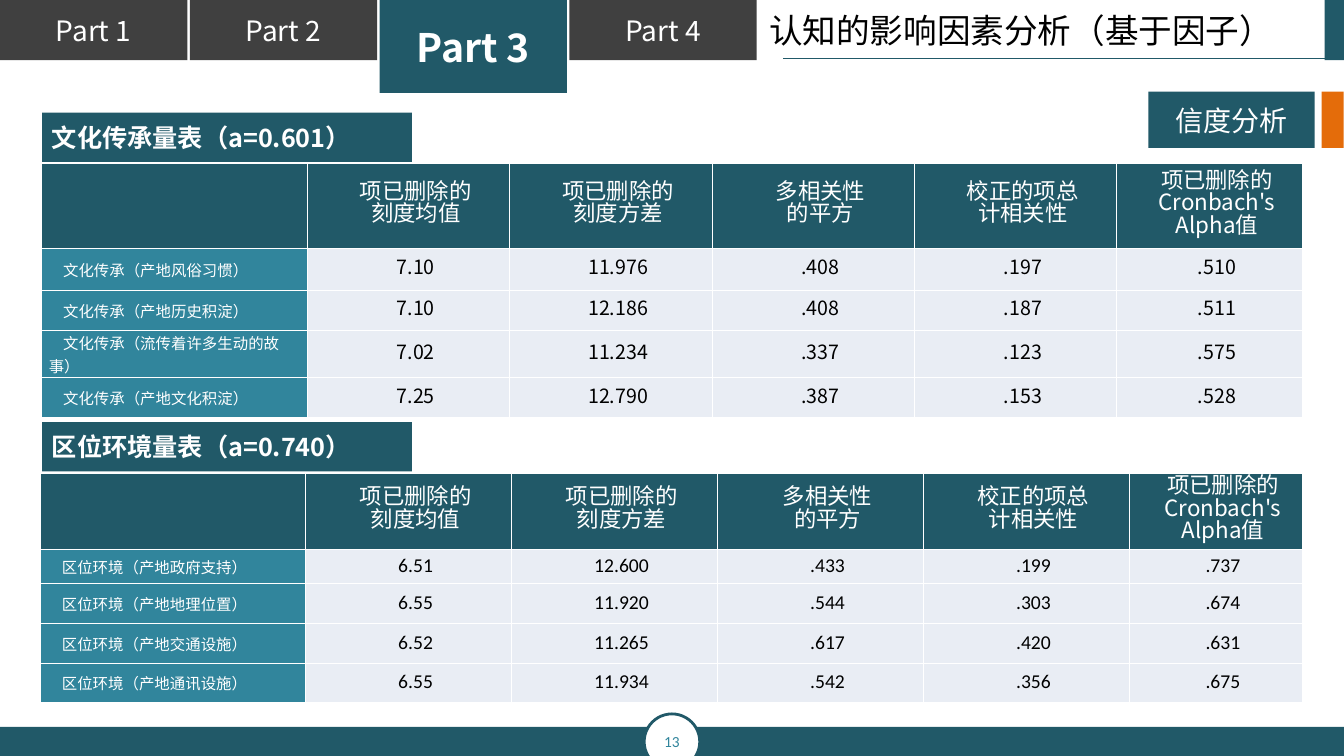
from lxml import etree
from pptx import Presentation
from pptx.dml.color import RGBColor
from pptx.enum.shapes import MSO_CONNECTOR, MSO_SHAPE
from pptx.enum.text import MSO_ANCHOR, PP_ALIGN
from pptx.oxml.ns import qn
from pptx.util import Cm, Pt

RECT, OVAL = MSO_SHAPE.RECTANGLE, MSO_SHAPE.OVAL
LINE = MSO_CONNECTOR.STRAIGHT
TOP, MID = MSO_ANCHOR.TOP, MSO_ANCHOR.MIDDLE
LEFT, CENTER, JUST = PP_ALIGN.LEFT, PP_ALIGN.CENTER, PP_ALIGN.JUSTIFY

HEX = {"teal": "215968", "sea": "31859C", "gray": "404040", "pale": "E9EDF4",
       "orange": "E46C0A", "white": "FFFFFF", "black": "000000"}
SANS, NUM = "Noto Sans CJK SC", "Calibri"

HEADS = ["", "项已删除的\n刻度均值", "项已删除的\n刻度方差", "多相关性\n的平方",
         "校正的项总\n计相关性", "项已删除的\nCronbach's\nAlpha值"]
CULTURE = [
    ["文化传承（产地风俗习惯）", "7.10", "11.976", ".408", ".197", ".510"],
    ["文化传承（产地历史积淀）", "7.10", "12.186", ".408", ".187", ".511"],
    ["文化传承（流传着许多生动的故事）", "7.02", "11.234", ".337", ".123", ".575"],
    ["文化传承（产地文化积淀）", "7.25", "12.790", ".387", ".153", ".528"],
]
PLACE = [
    ["区位环境（产地政府支持）", "6.51", "12.600", ".433", ".199", ".737"],
    ["区位环境（产地地理位置）", "6.55", "11.920", ".544", ".303", ".674"],
    ["区位环境（产地交通设施）", "6.52", "11.265", ".617", ".420", ".631"],
    ["区位环境（产地通讯设施）", "6.55", "11.934", ".542", ".356", ".675"],
]


def color(name):
    return RGBColor.from_string(HEX[name])


def write(frame, text, size, tint="white", face=SANS, bold=False, align=CENTER):
    frame.text = text
    for para in frame.paragraphs:
        para.alignment = align
        for run in para.runs:
            font = run.font
            font.size, font.bold, font.name = Pt(size), bold, face
            font.color.rgb = color(tint)
            east = etree.SubElement(run._r.get_or_add_rPr(), qn("a:ea"))
            east.set("typeface", face)


def block(slide, box, fill, kind=RECT):
    shape = slide.shapes.add_shape(kind, *map(Cm, box))
    shape.shadow.inherit = False
    shape.fill.solid()
    shape.fill.fore_color.rgb = color(fill)
    shape.line.fill.background()
    shape.text_frame.vertical_anchor = MID
    return shape


# Part tabs along the top edge
def add_tabs(slide, box, active=3):
    left, top, width, height = box
    step = width / 4
    for i in range(4):
        on = i + 1 == active
        tab = block(slide, (left + i * step, top, step - 0.06, 2.34 if on else height),
                    "teal" if on else "gray")
        write(tab.text_frame, f"Part {i + 1}", 28 if on else 20, bold=on)


# Title, its rule and the edge block
def add_title(slide, box):
    left, top, width, height = box
    title = slide.shapes.title
    title.left, title.top = Cm(left), Cm(top)
    title.width, title.height = Cm(width), Cm(height)
    title.text_frame.vertical_anchor = TOP
    write(title.text_frame, "认知的影响因素分析（基于因子）", 24, "black", align=LEFT)
    block(slide, (left + width + 0.25, 0, 0.5, 1.52), "teal")
    level = Cm(top + 1.34)
    rule = slide.shapes.add_connector(LINE, Cm(left + 14.5), level, Cm(left + 0.61), level)
    rule.line.color.rgb = color("teal")
    rule.line.width = Pt(0.75)
    etree.SubElement(rule._element.spPr, qn("a:effectLst"))


# Topic tag on the right
def add_topic(slide, box):
    left, top, width, height = box
    write(block(slide, box, "teal").text_frame, "信度分析", 20)
    block(slide, (left + width + 0.18, top, 0.55, height), "orange")


# Bottom bar with the page number
def add_footer(slide, box):
    left, top, width, height = box
    block(slide, box, "teal")
    side = 1.4
    disc = block(slide, (left + (width - side) / 2, top - 0.33, side, side), "white", OVAL)
    disc.line.color.rgb = color("teal")
    disc.line.width = Pt(2)
    write(disc.text_frame, "13", 11, "sea", NUM)


def set_cell(cell, text, fill, size, **look):
    props = cell._tc.get_or_add_tcPr()
    for side in ("a:lnL", "a:lnR", "a:lnT", "a:lnB"):
        edge = etree.SubElement(props, qn(side), w=str(Pt(1)))
        paint = etree.SubElement(edge, qn("a:solidFill"))
        etree.SubElement(paint, qn("a:srgbClr"), val=HEX["white"])
    cell.fill.solid()
    cell.fill.fore_color.rgb = color(fill)
    cell.vertical_anchor = MID
    cell.margin_left = cell.margin_right = Cm(0.18)
    cell.margin_top = cell.margin_bottom = 0
    write(cell.text_frame, text, size, **look)
    for para in cell.text_frame.paragraphs:
        para.line_spacing = Pt(16)
        para._p.get_or_add_pPr().set("indent", str(Cm(0.36)))


# Scale label with its table of items
def add_scale(slide, box, label, rows, cols, tall, face):
    left, top, width, height = box
    grid = slide.shapes.add_table(len(rows) + 1, len(cols), *map(Cm, box)).table
    grid.first_row = grid.horz_banding = False
    for col, size in zip(grid.columns, cols):
        col.width = Cm(size)
    for row, size in zip(grid.rows, tall):
        row.height = Cm(size)
    for r, line in enumerate([HEADS] + rows):
        for c, text in enumerate(line):
            cell = grid.cell(r, c)
            if r == 0:
                set_cell(cell, text, "teal", 16)
            elif c == 0:
                set_cell(cell, text, "sea", 11, align=LEFT)
            else:
                set_cell(cell, text, "pale", 14, tint="black", face=face)
    tag = block(slide, (1.06, top - 1.28, 9.32, 1.24), "teal")
    write(tag.text_frame, label, 18, bold=True, align=JUST)


def main():
    deck = Presentation()
    deck.slide_width, deck.slide_height = Cm(33.87), Cm(19.05)
    slide = deck.slides.add_slide(deck.slide_layouts[5])
    add_tabs(slide, (0, 0, 19.13, 1.52))
    add_title(slide, (19.13, 0.13, 14, 1.27))
    add_topic(slide, (28.94, 2.31, 4.19, 1.42))
    add_footer(slide, (0, 18.32, 33.87, 0.73))
    add_scale(slide, (1.05, 4.12, 31.78, 6.4), "文化传承量表（a=0.601）", CULTURE,
              [6.7] + [5.1] * 4 + [4.68], [2.14, 1.06, 1, 1.2, 1], SANS)
    add_scale(slide, (1.02, 11.92, 31.8, 5.79), "区位环境量表（a=0.740）", PLACE,
              [6.68] + [5.19] * 4 + [4.36], [1.93, 0.86, 1, 1, 1], NUM)
    deck.save("out.pptx")


if __name__ == "__main__":
    main()
